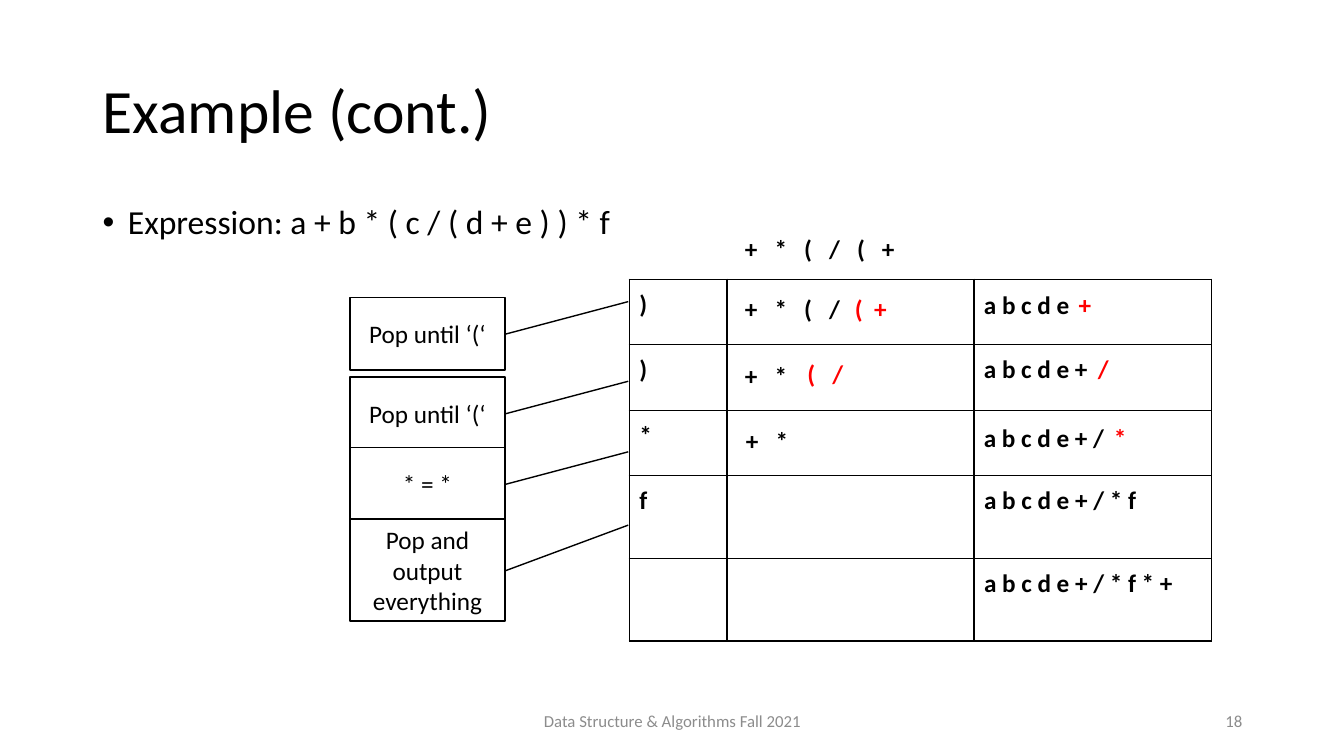
from dataclasses import dataclass

from lxml import etree
from pptx import Presentation
from pptx.dml.color import RGBColor
from pptx.enum.shapes import MSO_SHAPE
from pptx.enum.text import MSO_ANCHOR, MSO_AUTO_SIZE, PP_ALIGN
from pptx.oxml.ns import qn
from pptx.util import Inches, Pt


@dataclass(frozen=True)
class Theme:
    font: str = "Calibri"
    ink: str = "000000"
    accent: str = "FF0000"
    muted: str = "8C8C8C"
    paper: str = "FFFFFF"
    title: int = 44
    body: int = 24
    label: int = 18
    footer: int = 12
    line: int = 1
    space: float = 4.07  # width of one space at label size, in points


class SlideBuilder:
    def __init__(self, slide, theme):
        self.slide = slide
        self.theme = theme

    def add_run(self, p, text, size, color, bold=False, spacing=0):
        """Add one run; spacing is the extra room after each letter in points."""
        r = p.add_run()
        r.text = text
        values = {"name": self.theme.font, "size": Pt(size), "bold": bold}
        for key, value in values.items():
            setattr(r.font, key, value)
        r.font.color.rgb = RGBColor.from_string(color)
        if spacing:
            r._r.get_or_add_rPr().set("spc", str(round(spacing * 100)))

    def text(self, box, text, size, color, frame=None, para=None, **run):
        s = self.slide.shapes.add_textbox(*map(Inches, box))
        tf = s.text_frame
        p = tf.paragraphs[0]
        for target, values in ((tf, {"word_wrap": True, **(frame or {})}), (p, para or {})):
            for key, value in values.items():
                setattr(target, key, value)
        self.add_run(p, text, size, color, **run)
        return p

    def bullet(self, box, text):
        p = self.text(box, text, self.theme.body, self.theme.ink,
                      para={"line_spacing": 0.9, "space_before": Pt(10)})
        pPr = p._p.get_or_add_pPr()
        pPr.set("marL", str(Inches(0.25)))
        pPr.set("indent", str(Inches(-0.25)))
        etree.SubElement(pPr, qn("a:buFont"), typeface="Arial")
        etree.SubElement(pPr, qn("a:buChar"), char="•")

    def token(self, left, top, width, text, color, extra_spaces=0):
        """Place bold symbols, widening every gap by some extra spaces."""
        self.text((left, top, width, 0.4), text, self.theme.label, color,
                  frame={"auto_size": MSO_AUTO_SIZE.SHAPE_TO_FIT_TEXT}, bold=True,
                  spacing=extra_spaces * self.theme.space / 2)

    def callout(self, box, text):
        s = self.slide.shapes.add_shape(MSO_SHAPE.LINE_CALLOUT_1, *map(Inches, box))
        s.shadow.inherit = False
        for i, value in enumerate((0.51, 0.997, 0.059, 1.793)):
            s.adjustments[i] = value
        s.fill.solid()
        s.fill.fore_color.rgb = RGBColor.from_string(self.theme.paper)
        s.line.color.rgb = RGBColor.from_string(self.theme.ink)
        s.line.width = Pt(self.theme.line)
        tf = s.text_frame
        tf.word_wrap = True
        tf.vertical_anchor = MSO_ANCHOR.MIDDLE
        p = tf.paragraphs[0]
        p.alignment = PP_ALIGN.CENTER
        self.add_run(p, text, self.theme.label, self.theme.ink)

    def border(self, cell):
        tcPr = cell._tc.get_or_add_tcPr()
        for i, side in enumerate("LRTB"):
            ln = etree.Element(qn(f"a:ln{side}"), w=str(Pt(self.theme.line)))
            fill = etree.SubElement(ln, qn("a:solidFill"))
            etree.SubElement(fill, qn("a:srgbClr"), val=self.theme.ink)
            tcPr.insert(i, ln)

    def table(self, left, top, widths, heights, rows):
        box = map(Inches, (left, top, sum(widths), sum(heights)))
        table = self.slide.shapes.add_table(len(heights), len(widths), *box).table
        table.first_row = table.horz_banding = False
        for column, width in zip(table.columns, widths):
            column.width = Inches(width)
        for row, height, texts in zip(table.rows, heights, rows):
            row.height = Inches(height)
            for cell, text in zip(row.cells, texts):
                cell.fill.background()
                self.border(cell)
                for side in ("left", "right", "top", "bottom"):
                    setattr(cell, f"margin_{side}", Inches(0.1))
                if text:
                    self.add_run(cell.text_frame.paragraphs[0], text,
                                 self.theme.label, self.theme.ink, bold=True)


def main():
    prs = Presentation()
    prs.slide_width, prs.slide_height = Inches(13.33), Inches(7.5)
    theme = Theme()
    sb = SlideBuilder(prs.slides.add_slide(prs.slide_layouts[6]), theme)
    middle = {"vertical_anchor": MSO_ANCHOR.MIDDLE}

    sb.text((0.92, 0.4, 11.5, 1.45), "Example (cont.)", theme.title, theme.ink,
            frame=middle, para={"line_spacing": 0.9})
    for left, width, text, align in (
        (4.42, 4.5, "Data Structure & Algorithms Fall 2021", PP_ALIGN.CENTER),
        (9.42, 3, "18", PP_ALIGN.RIGHT),
    ):
        sb.text((left, 6.95, width, 0.4), text, theme.footer, theme.muted,
                frame=middle, para={"alignment": align})

    sb.table(6.24, 2.77, (0.97, 2.45, 2.36), (0.65, 0.65, 0.65, 0.82, 0.82), (
        (")", "", ""),
        (")", "", ""),
        ("*", "", ""),
        ("f", "", "a b c d e + / * f"),
        ("", "", "a b c d e + / * f * +"),
    ))
    sb.bullet((0.92, 1.99, 5.4, 1.18), "Expression: a + b * ( c / ( d + e ) ) * f")

    for top, height, text in (
        (2.95, 0.72, "Pop until ‘(‘"),
        (3.74, 0.72, "Pop until ‘(‘"),
        (4.44, 0.72, "* = *"),
        (5.15, 1.01, "Pop and output everything"),
    ):
        sb.callout((3.47, top, 1.54, height), text)

    stack_tokens = (
        (7.29, 2.27, 1.84, "+ * ( / ( +", theme.ink, 2),
        (7.29, 2.86, 1.28, "+ * ( /", theme.ink, 2),
        (8.38, 2.86, 0.89, "( +", theme.accent, 1),
        (7.29, 3.53, 0.71, "+ *", theme.ink, 2),
        (7.91, 3.51, 0.8, "( /", theme.accent, 2),
        (7.3, 4.17, 0.71, "+ *", theme.ink, 2),
    )
    output_tokens = (
        (9.66, 2.82, 1.12, "a b c d e", theme.ink),
        (10.6, 2.82, 0.31, "+", theme.accent),
        (9.66, 3.46, 1.25, "a b c d e +", theme.ink),
        (10.79, 3.46, 0.31, "/", theme.accent),
        (9.66, 4.14, 1.44, "a b c d e + /", theme.ink),
        (10.95, 4.14, 0.31, "*", theme.accent),
    )
    for token in stack_tokens + output_tokens:
        sb.token(*token)

    prs.save("out.pptx")


if __name__ == "__main__":
    main()
